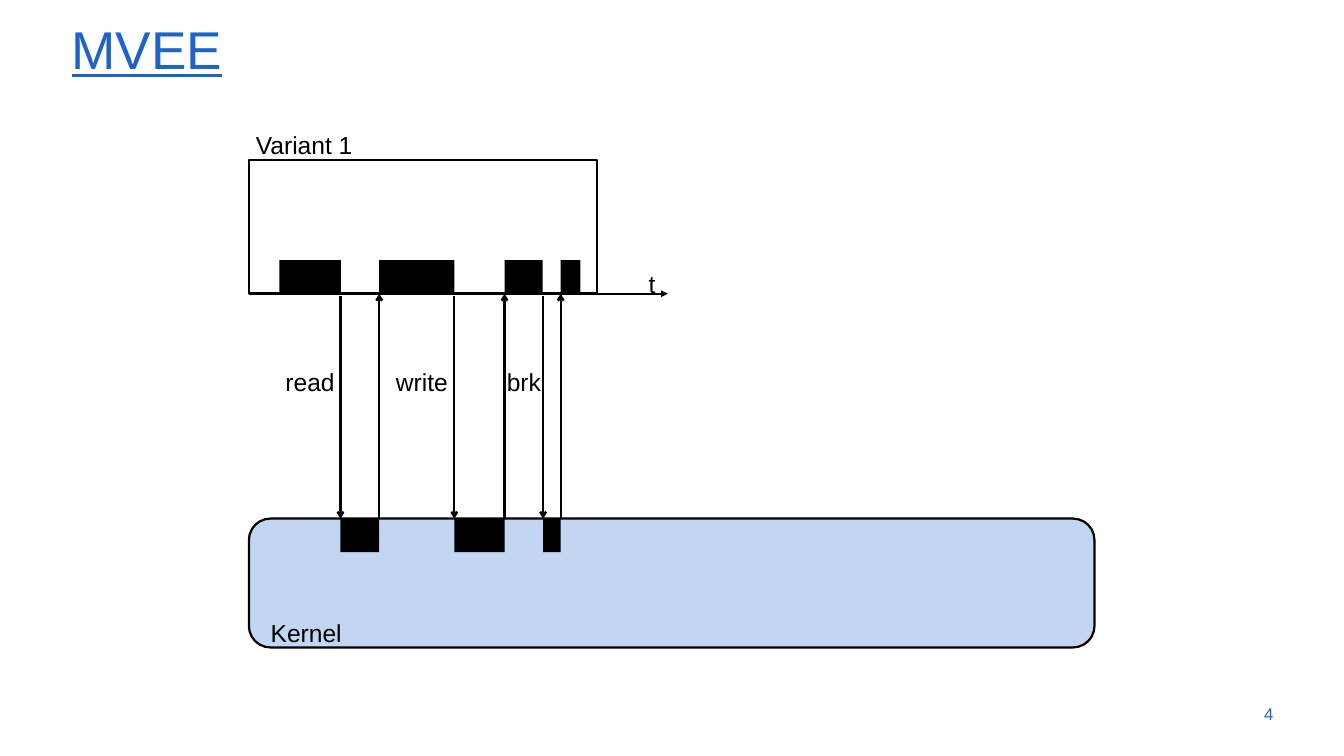
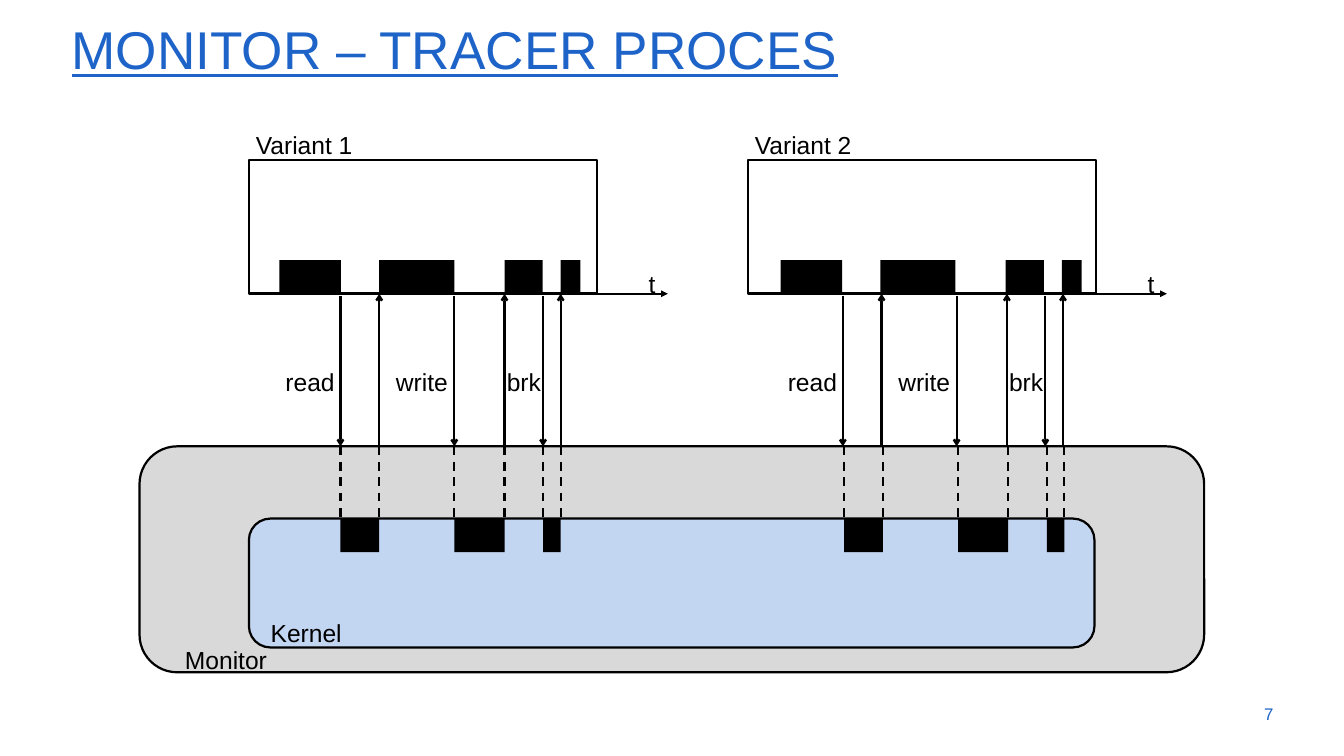
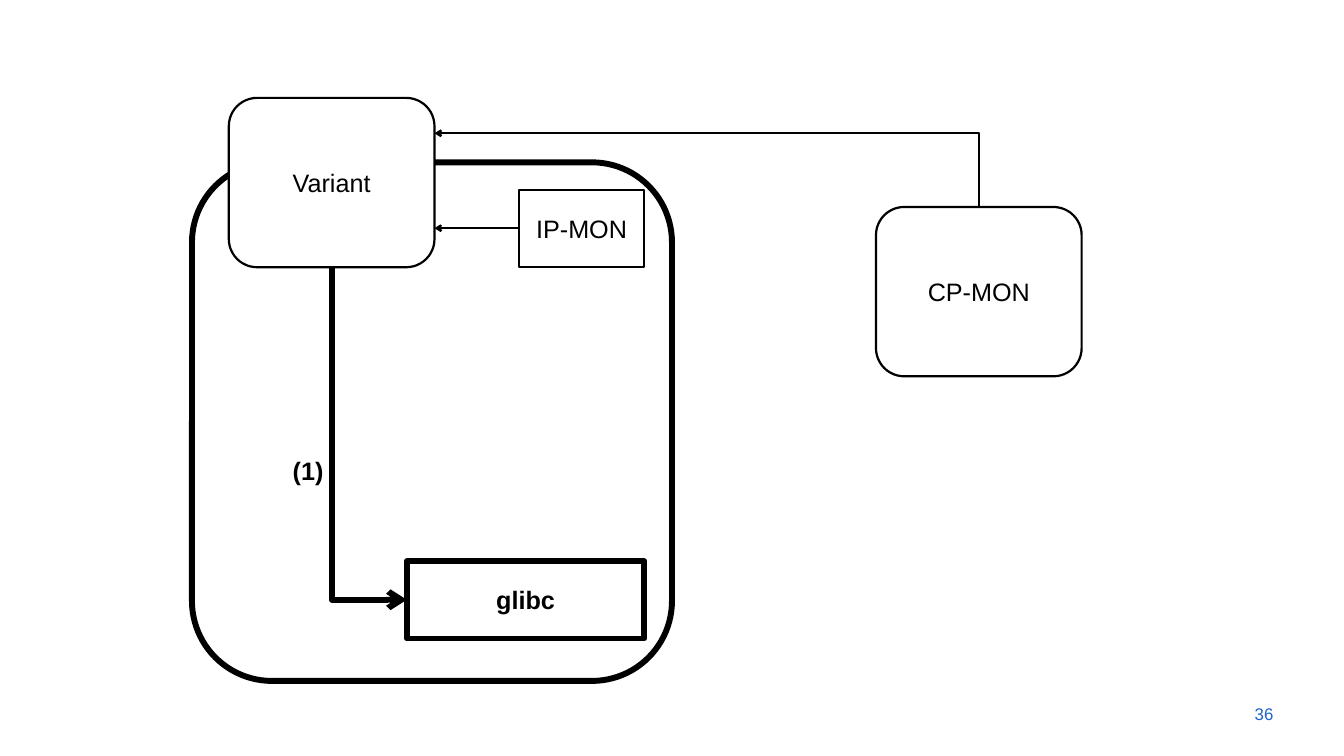
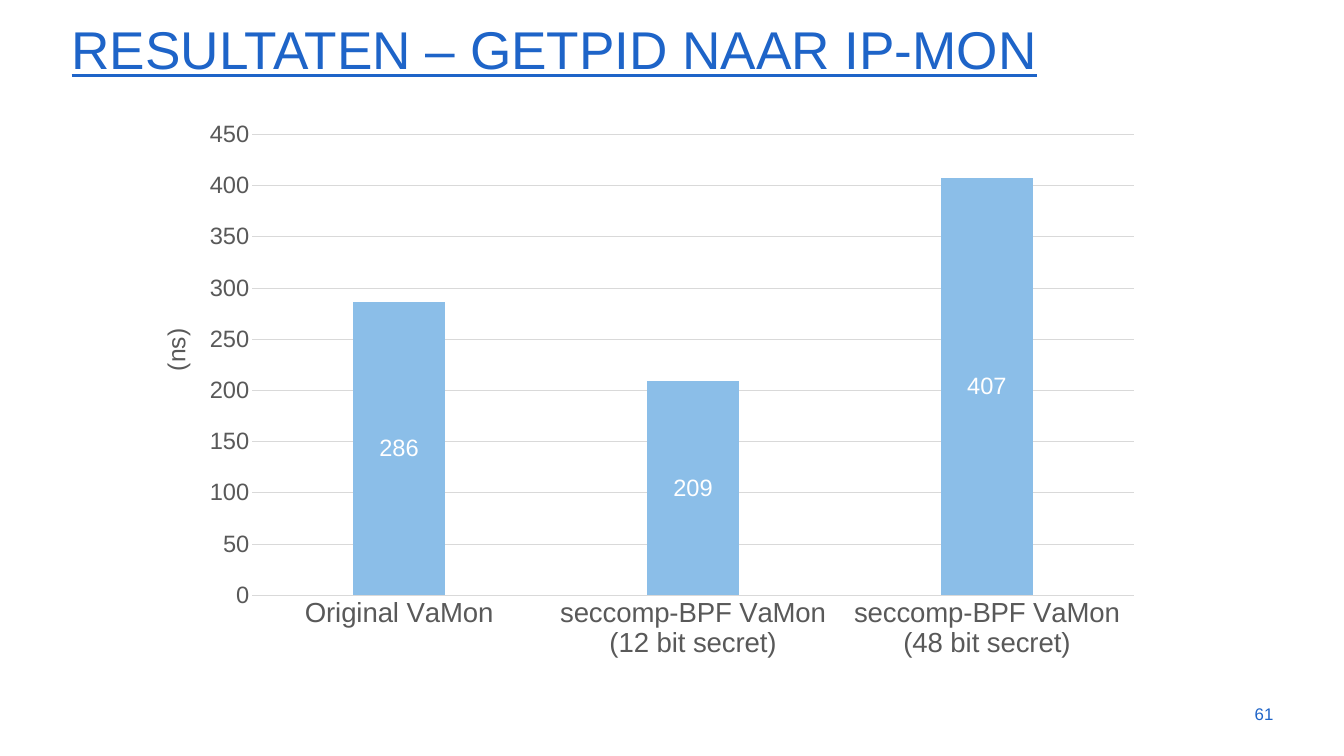
from dataclasses import dataclass
from typing import Any

from lxml import etree
from pptx import Presentation
from pptx import util as u
from pptx.chart import data as cd
from pptx.dml import color, line
from pptx.enum import chart as ec, dml, shapes, text
from pptx.oxml.ns import qn

COLORS = {
    "title": "1E64C8", "ink": "000000", "paper": "FFFFFF", "kernel": "C2D5F1",
    "monitor": "D9D9D9", "axis": "595959", "bar": "8BBEE8",
}
FONT = "Arial"
RECT = shapes.MSO_SHAPE.RECTANGLE
ROUND = shapes.MSO_SHAPE.ROUNDED_RECTANGLE
ALIGN = text.PP_ALIGN
ANCHOR = text.MSO_ANCHOR
LABEL = {"size": 25, "spacing": 1.2}
THIN, THICK = 2.25, 6
Point = tuple[float, float]


@dataclass(frozen=True)
class Box:
    x: float
    y: float
    w: float
    h: float

    def lengths(self) -> list[u.Length]:
        return [u.Cm(v) for v in (self.x, self.y, self.w, self.h)]


@dataclass(frozen=True)
class Call:
    """A system call; offsets count from the left edge of its variant."""
    name: str
    label: float
    enter: float
    leave: float


@dataclass(frozen=True)
class Variant:
    name: str
    x: float
    bar_shift: float = 0
    call_shift: float = 0
    kernel_shift: float = 0


@dataclass(frozen=True)
class Node:
    name: str
    kind: shapes.MSO_SHAPE
    box: Box
    width: float = THIN
    bold: bool = False
    filled: bool = True


CALLS = [
    Call("read", 1.06, 3.28, 4.67),
    Call("write", 5.02, 7.36, 9.16),
    Call("brk", 8.99, 10.54, 11.17),
]
VARIANTS = [
    Variant("Variant 1", 8.92),
    Variant("Variant 2", 26.8, 0.08, 0.12, 0.17),
]
RUN_BARS = [(1.09, 2.21), (4.67, 2.69), (9.16, 1.37), (11.17, 0.71)]
VARIANT_W, VARIANT_TOP, AXIS_Y = 12.47, 5.74, 10.53
BAR_H = 1.2
KERNEL = Box(8.92, 18.59, 30.3, 4.62)
MONITOR = Box(5, 16, 38.15, 8.1)

NODES = [
    Node("CP-MON", ROUND, Box(31.39, 7.42, 7.37, 6.07)),
    Node("IP-MON", RECT, Box(18.59, 6.81, 4.5, 2.77)),
    Node("glibc", RECT, Box(14.58, 20.12, 8.51, 2.77), THICK, True),
    Node("", ROUND, Box(6.88, 5.82, 17.2, 18.59), THICK, filled=False),
    Node("Variant", ROUND, Box(8.2, 3.51, 7.37, 6.07)),
]


def rgb(name: str) -> color.RGBColor:
    return color.RGBColor.from_string(COLORS[name])


def set_font(font: Any, size: float, name: str = "ink", **formats: Any) -> None:
    font.color.rgb = rgb(name)
    values = {"name": FONT, "size": u.Pt(size), **formats}
    for key, value in values.items():
        setattr(font, key, value)


def write(sp: Any, words: str, size: float, name: str = "ink",
          align: ALIGN = ALIGN.LEFT, anchor: ANCHOR = ANCHOR.TOP,
          spacing: float = 1, wrap: bool = True, **formats: Any) -> None:
    tf = sp.text_frame
    tf.word_wrap = wrap
    tf.vertical_anchor = anchor
    p = tf.paragraphs[0]
    p.alignment, p.line_spacing = align, spacing
    r = p.add_run()
    r.text = words
    set_font(r.font, size, name, **formats)


def add_text(s: Any, box: Box, words: str, **formats: Any) -> Any:
    sp = s.shapes.add_textbox(*box.lengths())
    write(sp, words, **formats)
    return sp


def add_block(s: Any, kind: shapes.MSO_SHAPE, box: Box, fill: str | None = "ink",
              width: float = 0) -> Any:
    """Draw a shape; no fill name or a zero line width leaves that part out."""
    sp = s.shapes.add_shape(kind, *box.lengths())
    sp.shadow.inherit = False
    if fill:
        sp.fill.solid()
        sp.fill.fore_color.rgb = rgb(fill)
    else:
        sp.fill.background()
    if width:
        sp.line.color.rgb = rgb("ink")
        sp.line.width = u.Pt(width)
    else:
        sp.line.fill.background()
    return sp


def add_line(s: Any, start: Point, end: Point, head: str | None = None,
             width: float = THIN, dashed: bool = False) -> Any:
    c = s.shapes.add_connector(shapes.MSO_CONNECTOR.STRAIGHT,
                               *[u.Cm(v) for v in (*start, *end)])
    c.line.color.rgb = rgb("ink")
    c.line.width = u.Pt(width)
    if dashed:
        c.line.dash_style = dml.MSO_LINE.DASH
    sp_pr = c._element.spPr
    if head:
        etree.SubElement(sp_pr.find(qn("a:ln")), qn("a:tailEnd"), type=head)
    etree.SubElement(sp_pr, qn("a:effectLst"))
    return c


def add_elbow(s: Any, start: Point, end: Point, width: float = THIN) -> None:
    """Draw an arrow that runs vertically first, then horizontally."""
    cx, cy = (start[0] + end[0]) / 2, (start[1] + end[1]) / 2
    dx, dy = start[0] - cx, start[1] - cy
    # The preset runs horizontally first, so it is laid out a quarter turn away.
    c = add_line(s, (cx - dy, cy + dx), (cx + dy, cy - dx), "arrow", width)
    sp_pr = c._element.spPr
    sp_pr.find(qn("a:xfrm")).set("rot", str(270 * 60000))
    sp_pr.find(qn("a:prstGeom")).set("prst", "bentConnector2")


def add_slide(prs: Any, number: int, title: str = "") -> Any:
    s = prs.slides.add_slide(prs.slide_layouts[5 if title else 6])
    if title:
        sp = s.shapes.title
        sp.left, sp.top, sp.width, sp.height = Box(2.31, 0.64, 43.64, 2.39).lengths()
        write(sp, title, 54, "title", anchor=ANCHOR.BOTTOM, spacing=0.9, underline=True)
    add_text(s, Box(43.31, 24.87, 2.57, 1.45), str(number), size=17.1, name="title",
             align=ALIGN.RIGHT, anchor=ANCHOR.MIDDLE)
    return s


def draw_variant(s: Any, v: Variant, monitored: bool) -> None:
    """Draw one process timeline and its calls into the layer below."""
    right = v.x + VARIANT_W
    add_block(s, RECT, Box(v.x, VARIANT_TOP, VARIANT_W, AXIS_Y - VARIANT_TOP), None, 2.5)
    add_text(s, Box(v.x, 4.32, 4.37, 1.42), v.name, **LABEL)
    add_line(s, (right, AXIS_Y), (right + 2.54, AXIS_Y), "triangle")
    add_text(s, Box(right + 1.6, 9.32, 0.74, 1.42), "t", **LABEL)
    for x, w in RUN_BARS:
        add_block(s, RECT, Box(v.x + v.bar_shift + x, AXIS_Y - BAR_H, w, BAR_H))
    floor = MONITOR.y if monitored else KERNEL.y
    for call in CALLS:
        x = v.x + v.call_shift
        add_line(s, (x + call.enter, AXIS_Y + 0.08), (x + call.enter, floor), "arrow")
        add_line(s, (x + call.leave, floor), (x + call.leave, AXIS_Y), "arrow")
        add_text(s, Box(x + call.label, 12.83, 2.54, 1.42), call.name, **LABEL)
        x = v.x + v.kernel_shift
        if monitored:
            for edge in (call.enter, call.leave):
                add_line(s, (x + edge, floor), (x + edge, KERNEL.y), dashed=True)
        add_block(s, RECT, Box(x + call.enter, KERNEL.y, call.leave - call.enter, BAR_H))


def draw_system(s: Any, variants: list[Variant], monitored: bool) -> None:
    if monitored:
        add_block(s, ROUND, MONITOR, "monitor", THIN)
        add_text(s, Box(6.38, 22.78, 3.63, 1.42), "Monitor", **LABEL)
    add_block(s, ROUND, KERNEL, "kernel", THIN)
    add_text(s, Box(9.45, 21.82, 3.63, 1.42), "Kernel", **LABEL)
    for v in variants:
        draw_variant(s, v, monitored)


def draw_monitors(s: Any) -> None:
    for n in NODES:
        sp = add_block(s, n.kind, n.box, "paper" if n.filled else None, n.width)
        if n.name:
            write(sp, n.name, 25.6, align=ALIGN.CENTER, anchor=ANCHOR.MIDDLE, bold=n.bold)
    add_elbow(s, (35.08, 7.42), (15.57, 4.78))
    add_line(s, (18.59, 8.18), (15.57, 8.18), "arrow")
    add_elbow(s, (11.89, 9.58), (14.58, 21.5), THICK)
    add_text(s, Box(10.24, 16.21, 1.65, 1.35), "(1)", size=25.6, bold=True)


def draw_line_format(fmt: line.LineFormat) -> None:
    fmt.color.rgb = rgb("monitor")
    fmt.width = u.Pt(0.75)


def draw_timings(s: Any) -> None:
    data = cd.CategoryChartData()
    data.categories = ["Original VaMon", "seccomp-BPF VaMon (12 bit secret)",
                       "seccomp-BPF VaMon (48 bit secret)"]
    data.add_series("Series 1", [286, 209, 407])
    chart = s.shapes.add_chart(ec.XL_CHART_TYPE.COLUMN_CLUSTERED,
                               *Box(6.83, 3.94, 34.49, 20.07).lengths(), data).chart
    chart.has_legend = chart.has_title = False
    set_font(chart.font, 10)

    plot = chart.plots[0]
    plot.gap_width, plot.overlap, plot.vary_by_categories = 219, -27, False
    fill = plot.series[0].format.fill
    fill.solid()
    fill.fore_color.rgb = rgb("bar")
    plot.has_data_labels = True
    labels = plot.data_labels
    labels.show_value, labels.position = True, ec.XL_LABEL_POSITION.CENTER
    set_font(labels.font, 24, "paper")

    for axis, size in ((chart.category_axis, 28), (chart.value_axis, 24)):
        axis.major_tick_mark = axis.minor_tick_mark = ec.XL_TICK_MARK.NONE
        set_font(axis.tick_labels.font, size, "axis")
    draw_line_format(chart.category_axis.format.line)
    values = chart.value_axis
    values.minimum_scale, values.maximum_scale, values.major_unit = 0, 450, 50
    values.format.line.fill.background()
    draw_line_format(values.major_gridlines.format.line)

    unit = add_text(s, Box(5.11, 11.81, 2.06, 1.42), "(ns)", name="axis", wrap=False, **LABEL)
    unit.rotation = 270


def main() -> None:
    prs = Presentation()
    prs.slide_width, prs.slide_height = u.Cm(48.16), u.Cm(27.1)
    draw_system(add_slide(prs, 4, "MVEE"), VARIANTS[:1], False)
    draw_system(add_slide(prs, 7, "MONITOR – TRACER PROCES"), VARIANTS, True)
    draw_monitors(add_slide(prs, 36))
    draw_timings(add_slide(prs, 61, "RESULTATEN – GETPID NAAR IP-MON"))
    prs.save("out.pptx")


if __name__ == "__main__":
    main()
